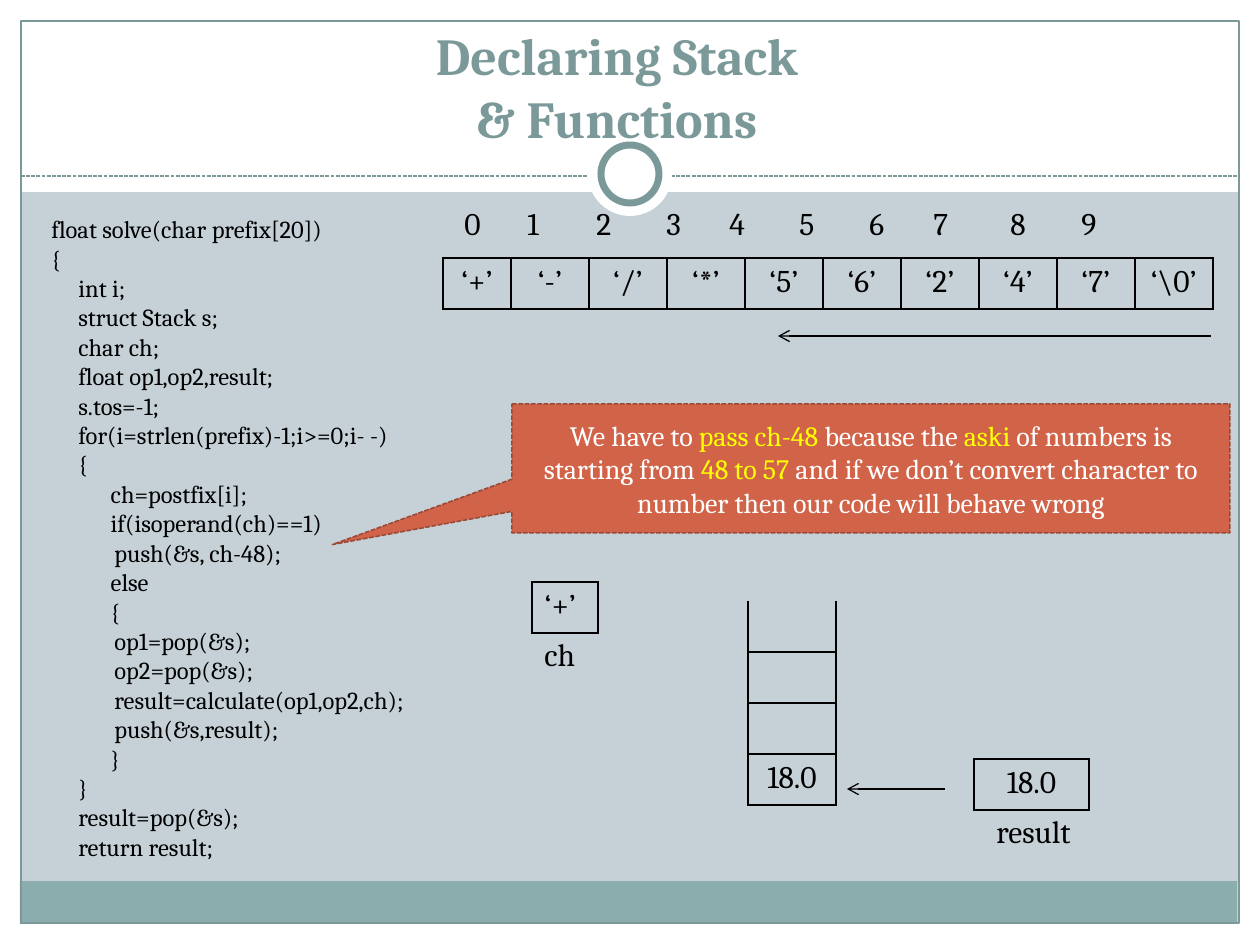
from lxml.etree import SubElement
from pptx import Presentation
from pptx.dml.color import RGBColor
from pptx.enum.dml import MSO_LINE
from pptx.enum.shapes import MSO_CONNECTOR, MSO_SHAPE
from pptx.enum.text import MSO_ANCHOR, PP_ALIGN
from pptx.oxml.ns import qn
from pptx.util import Emu, Pt

COLORS = {
    "background": "C5D1D7", "white": "FFFFFF", "band": "8CADAE",
    "frame": "7C999A", "black": "000000", "callout": "D16349",
    "callout_edge": "9B4936", "highlight": "FFFF00",
}
FORMATS = {
    "title": {"name": "Cambria", "size": Pt(29.7), "bold": True},
    "code": {"name": "Cambria", "size": Pt(14)},
    "callout": {"name": "Cambria", "size": Pt(16)},
    "label": {"name": "Cambria", "size": Pt(18)},
}
CODE = """float solve(char prefix[20])
{
     int i;
     struct Stack s;
     char ch;
     float op1,op2,result;
     s.tos=-1;
     for(i=strlen(prefix)-1;i>=0;i- -)
     {
           ch=postfix[i];
           if(isoperand(ch)==1)
\tpush(&s, ch-48);
           else
           {
\top1=pop(&s);
\top2=pop(&s);
   \tresult=calculate(op1,op2,ch);
\tpush(&s,result);
           }
     }
     result=pop(&s);
     return result;"""
CALLOUT_SPANS = [
    ("We have to ", "white"), ("pass ch-48 ", "highlight"),
    ("because the ", "white"), ("aski", "highlight"),
    (" of numbers is starting from ", "white"), ("48 to 57 ", "highlight"),
    ("and if we don’t convert character to number "
     "then our code will behave wrong", "white"),
]
SYMBOLS = ["‘+’", "‘-’", "‘/’", "‘*’", "‘5’", "‘6’", "‘2’", "‘4’", "‘7’", "‘\\0’"]
INDEX_STOPS = [63, 132, 202, 265, 335, 405, 469, 546, 617]
ROW_HEIGHT = 51


def px(length):
    return Emu(round(length * 914400 / 126))


def color(name):
    return RGBColor.from_string(COLORS[name])


def add_span(paragraph, text, style, ink="black"):
    span = paragraph.add_run()
    span.text = text
    for name, value in FORMATS[style].items():
        setattr(span.font, name, value)
    span.font.color.rgb = color(ink)


def style_line(line, ink, width, dash=None):
    line.color.rgb = color(ink)
    line.width = Pt(width)
    if dash:
        line.dash_style = dash


def add_shape(page, kind, bounds, fill=None, edge=None):
    shape = page.shapes.add_shape(kind, *map(px, bounds))
    shape.shadow.inherit = False
    if fill:
        shape.fill.solid()
        shape.fill.fore_color.rgb = color(fill)
    else:
        shape.fill.background()
    if edge:
        style_line(shape.line, *edge)
    else:
        shape.line.fill.background()
    return shape


def add_line(page, start, end, edge, arrow=False):
    line = page.shapes.add_connector(MSO_CONNECTOR.STRAIGHT, *map(px, start + end))
    style_line(line.line, *edge)
    if arrow:
        SubElement(line.line._get_or_add_ln(), qn("a:tailEnd"), type="arrow")
    SubElement(line._element.spPr, qn("a:effectLst"))


def add_text(page, bounds, lines, style, ink="black",
             align=PP_ALIGN.LEFT, anchor=MSO_ANCHOR.TOP):
    frame = page.shapes.add_textbox(*map(px, bounds)).text_frame
    frame.word_wrap = True
    frame.vertical_anchor = anchor
    for number, text in enumerate(lines):
        paragraph = frame.add_paragraph() if number else frame.paragraphs[0]
        paragraph.alignment = align
        add_span(paragraph, text, style, ink)
    return frame


def add_indexes(page, bounds):
    text = "\t".join(map(str, range(len(SYMBOLS))))
    frame = add_text(page, bounds, [text], "label")
    stops = SubElement(frame.paragraphs[0]._p.get_or_add_pPr(), qn("a:tabLst"))
    for stop in INDEX_STOPS:
        SubElement(stops, qn("a:tab"), pos=str(px(stop)), algn="l")


def set_borders(cell, sides):
    properties = cell._tc.get_or_add_tcPr()
    for side in "LRTB":
        border = SubElement(properties, qn(f"a:ln{side}"), w=str(Pt(1)))
        if side in sides:
            fill = SubElement(border, qn("a:solidFill"))
            SubElement(fill, qn("a:srgbClr"), val=COLORS["black"])
        else:
            SubElement(border, qn("a:noFill"))


def add_cells(page, left, top, widths, rows, align=PP_ALIGN.CENTER, open_top=False):
    size = (sum(widths), ROW_HEIGHT * len(rows))
    table = page.shapes.add_table(
        len(rows), len(widths), *map(px, (left, top, *size))).table
    table.first_row = table.horz_banding = False
    for column, width in zip(table.columns, widths):
        column.width = px(width)
    for row_number, values in enumerate(rows):
        table.rows[row_number].height = px(ROW_HEIGHT)
        for column_number, value in enumerate(values):
            cell = table.cell(row_number, column_number)
            set_borders(cell, "LRB" if open_top and row_number == 0 else "LRTB")
            cell.fill.background()
            paragraph = cell.text_frame.paragraphs[0]
            paragraph.alignment = align
            if value:
                add_span(paragraph, value, "label")


def add_frame(page):
    for bounds, fill in [
        ((0, 924, 1260, 21), "white"), ((0, 0, 1260, 192), "white"),
        ((0, 0, 21, 945), "white"), ((1239, 0, 21, 945), "white"),
        ((20, 881, 1217, 43), "band"),
    ]:
        add_shape(page, MSO_SHAPE.RECTANGLE, bounds, fill)
    add_shape(page, MSO_SHAPE.RECTANGLE, (21, 21, 1218, 902), edge=("frame", 0.75))
    add_line(page, (21, 176), (1239, 176), ("frame", 0.75, MSO_LINE.SQUARE_DOT))
    add_shape(page, MSO_SHAPE.OVAL, (588, 132, 84, 84), "white")
    add_shape(page, MSO_SHAPE.OVAL, (601, 145, 58, 58), "white", ("frame", 4))


def add_callout(page, bounds):
    callout = add_shape(page, MSO_SHAPE.RECTANGULAR_CALLOUT, bounds, "callout",
                        ("callout_edge", 0.9, MSO_LINE.SQUARE_DOT))
    callout.adjustments[0] = -0.75
    callout.adjustments[1] = 0.59
    frame = callout.text_frame
    frame.word_wrap = True
    frame.vertical_anchor = MSO_ANCHOR.MIDDLE
    frame.paragraphs[0].alignment = PP_ALIGN.CENTER
    for text, ink in CALLOUT_SPANS:
        add_span(frame.paragraphs[0], text, "callout", ink)


def add_title(page, bounds):
    frame = add_text(page, bounds, ["Declaring Stack"], "title", "frame",
                     PP_ALIGN.CENTER, MSO_ANCHOR.BOTTOM)
    frame.paragraphs[0].add_line_break()
    add_span(frame.paragraphs[0], "& Functions", "title", "frame")


def main():
    deck = Presentation()
    deck.slide_width, deck.slide_height = px(1260), px(945)
    page = deck.slides.add_slide(deck.slide_layouts[6])
    page.background.fill.solid()
    page.background.fill.fore_color.rgb = color("background")

    add_frame(page)
    add_title(page, (29, 50, 1176, 105))
    add_text(page, (39, 208, 571, 665), CODE.split("\n"), "code")
    add_callout(page, (512, 404, 718, 129))
    add_cells(page, 748, 601, [88], [[""], [""], [""], ["18.0"]], open_top=True)
    add_cells(page, 532, 582, [66], [["‘+’"]], PP_ALIGN.LEFT)
    add_text(page, (532, 629, 58, 50), ["ch"], "label")
    add_line(page, (945, 789), (847, 789), ("black", 0.75), arrow=True)
    add_cells(page, 974, 759, [115], [["18.0"]])
    add_text(page, (984, 806, 106, 50), ["result"], "label")
    add_cells(page, 443, 258, [68] + [78] * 9, [SYMBOLS])
    add_indexes(page, (452, 198, 740, 50))
    add_line(page, (1211, 336), (778, 336), ("black", 0.75), arrow=True)
    deck.save("out.pptx")


if __name__ == "__main__":
    main()
